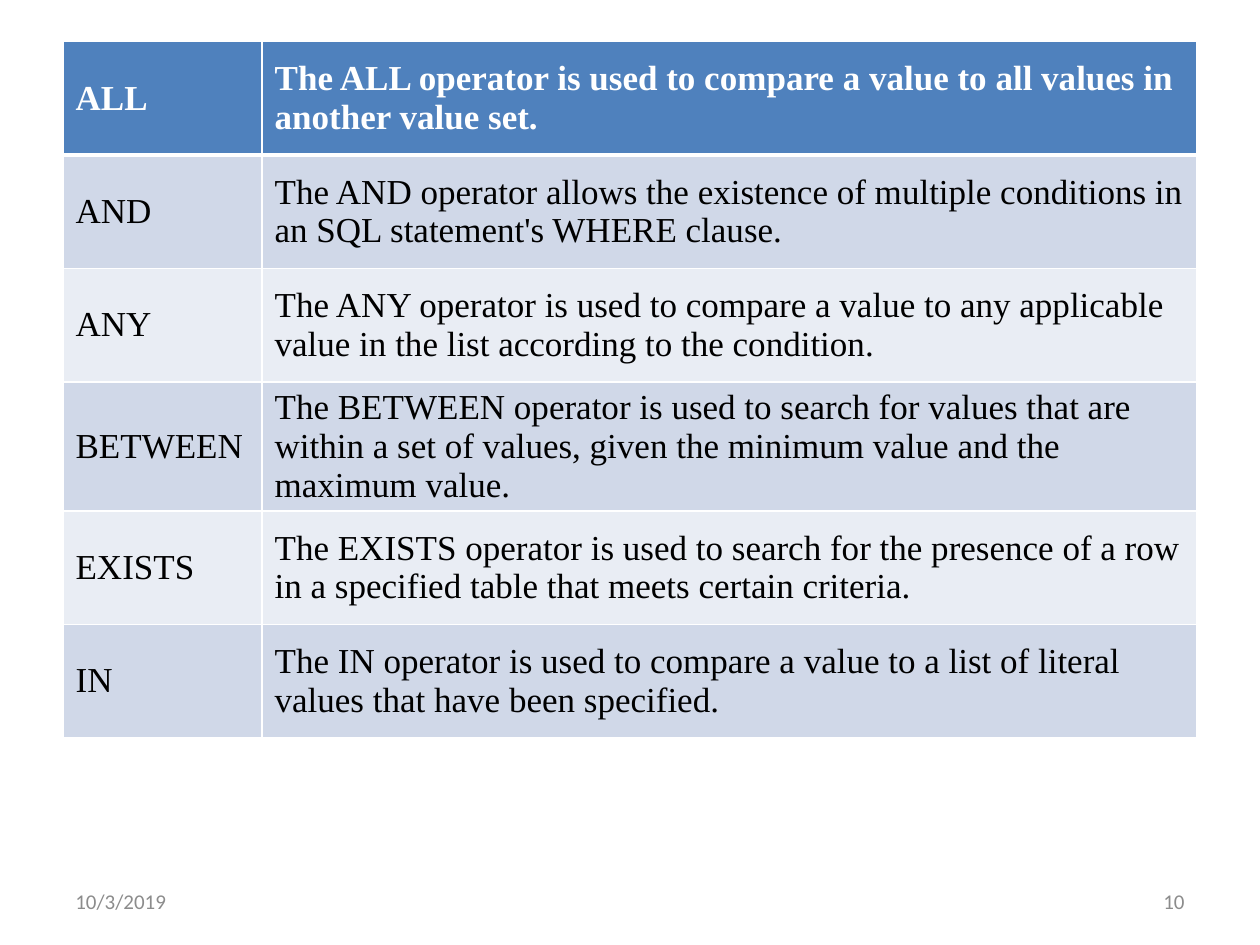
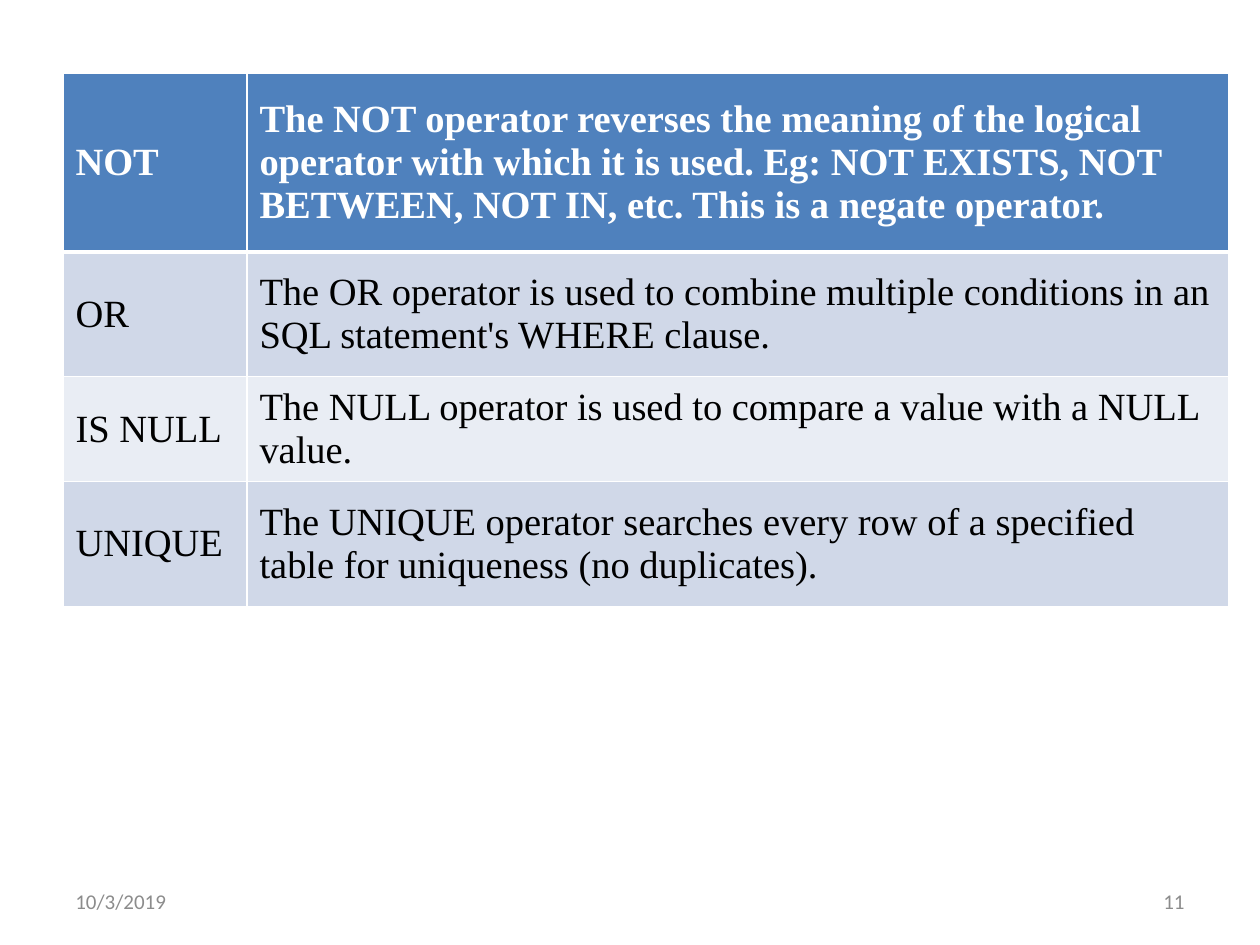
from pptx import Presentation
from pptx.dml.color import RGBColor
from pptx.enum.text import MSO_ANCHOR as Anchor, PP_ALIGN as Align
from pptx.oxml.ns import qn
from pptx.util import Inches, Pt
from lxml.etree import SubElement

WHITE, BLACK, GREY = "FFFFFF", "000000", "8C8C8C"
HEAD, BANDS = "4F81BD", ("D0D8E8", "E9EDF4")
SERIF, SANS = "Times New Roman", "Calibri"
DATE = "10/3/2019"

FIRST = [
    ("ALL", "The ALL operator is used to compare a value to all values in "
            "another value set."),
    ("AND", "The AND operator allows the existence of multiple conditions in "
            "an SQL statement's WHERE clause."),
    ("ANY", "The ANY operator is used to compare a value to any applicable "
            "value in the list according to the condition."),
    ("BETWEEN", "The BETWEEN operator is used to search for values that are "
                "within a set of values, given the minimum value and the "
                "maximum value."),
    ("EXISTS", "The EXISTS operator is used to search for the presence of a "
               "row in a specified table that meets certain criteria."),
    ("IN", "The IN operator is used to compare a value to a list of literal "
           "values that have been specified."),
]
SECOND = [
    ("NOT", "The NOT operator reverses the meaning of the logical operator "
            "with which it is used. Eg: NOT EXISTS, NOT BETWEEN, NOT IN, etc. "
            "This is a negate operator."),
    ("OR", "The OR operator is used to combine multiple conditions in an SQL "
           "statement's WHERE clause."),
    ("IS NULL", "The NULL operator is used to compare a value with a NULL "
                "value."),
    ("UNIQUE", "The UNIQUE operator searches every row of a specified table "
               "for uniqueness (no duplicates)."),
]


def color(code):
    """Turn a hex string into a colour."""
    return RGBColor.from_string(code)


def style(para, name, size, code, bold=False):
    """Set the font of a paragraph."""
    font = para.font
    font.name, font.size, font.bold = name, Pt(size), bold
    font.color.rgb = color(code)


def border(cell, row):
    """Draw white cell edges, with a thick rule below the header row."""
    wide = {0: "B", 1: "T"}.get(row)
    props = cell._tc.get_or_add_tcPr()
    for side in "LRTB":
        width = Pt(3 if side == wide else 1)
        line = SubElement(props, qn(f"a:ln{side}"), w=str(width))
        fill = SubElement(line, qn("a:solidFill"))
        SubElement(fill, qn("a:srgbClr"), val=WHITE)


def add_cell(cell, row, text, size):
    """Write and paint one cell; row 0 is the header."""
    head = row == 0
    cell.text = text
    cell.vertical_anchor = Anchor.MIDDLE
    style(cell.text_frame.paragraphs[0], SERIF, size,
          WHITE if head else BLACK, head)
    border(cell, row)
    cell.fill.solid()
    cell.fill.fore_color.rgb = color(HEAD if head else BANDS[(row - 1) % 2])


def add_grid(slide, data, top, cols, rows, size):
    """Add a table of operators and what they do."""
    frame = slide.shapes.add_table(
        len(data), len(cols), Inches(0.5), Inches(top),
        Inches(sum(cols)), Inches(sum(rows)))
    table = frame.table
    for col, width in zip(table.columns, cols):
        col.width = Inches(width)
    for row, (line, high) in enumerate(zip(data, rows)):
        table.rows[row].height = Inches(high)
        for col, text in enumerate(line):
            add_cell(table.cell(row, col), row, text, size)


def add_note(slide, left, text, align):
    """Add one small grey text at the foot of the slide."""
    box = slide.shapes.add_textbox(
        Inches(left), Inches(6.95), Inches(2.33), Inches(0.4))
    frame = box.text_frame
    frame.word_wrap = True
    frame.vertical_anchor = Anchor.MIDDLE
    para = frame.paragraphs[0]
    para.text, para.alignment = text, align
    style(para, SANS, 12, GREY)


def add_page(deck, number, *grid):
    """Add a slide with its table, page number and date."""
    slide = deck.slides.add_slide(deck.slide_layouts[6])
    add_grid(slide, *grid)
    add_note(slide, 7.17, str(number), Align.RIGHT)
    add_note(slide, 0.5, DATE, Align.LEFT)


def main():
    """Build and save the deck."""
    deck = Presentation()
    deck.slide_width, deck.slide_height = Inches(10), Inches(7.5)
    add_page(deck, 10, FIRST, 0.33, (1.58, 7.42), [0.9] * 6, 20)
    add_page(deck, 11, SECOND, 0.58, (1.46, 7.79),
             (1.42, 0.99, 0.57, 0.99), 22)
    deck.save("out.pptx")


main()
